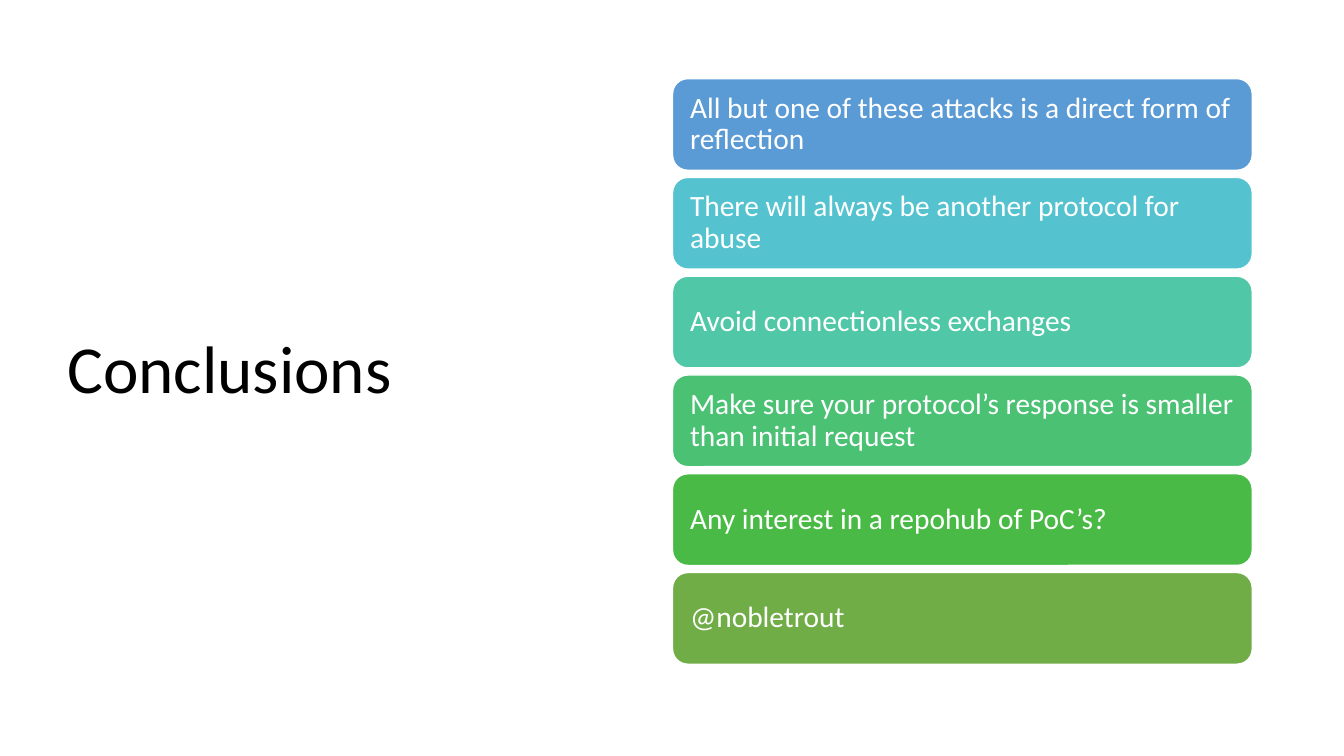
from pptx import Presentation
from pptx.dml.color import RGBColor
from pptx.enum import shapes, text
from pptx.util import Inches, Pt

BLACK = RGBColor(0x00, 0x00, 0x00)
WHITE = RGBColor(0xFF, 0xFF, 0xFF)
BLUE = RGBColor(0x5B, 0x9B, 0xD5)
CYAN = RGBColor(0x55, 0xC3, 0xCF)
TEAL = RGBColor(0x50, 0xC8, 0xA7)
MINT = RGBColor(0x4B, 0xC1, 0x74)
GREEN = RGBColor(0x4A, 0xBA, 0x46)
OLIVE = RGBColor(0x70, 0xAD, 0x47)

CONCLUSIONS = [
    ("All but one of these attacks is a direct form of reflection", BLUE),
    ("There will always be another protocol for abuse", CYAN),
    ("Avoid connectionless exchanges", TEAL),
    ("Make sure your protocol’s response is smaller than initial request", MINT),
    ("Any interest in a repohub of PoC’s?", GREEN),
    ("@nobletrout", OLIVE),
]
CARD_LEFT, CARD_TOP = 6.67, 0.78
CARD_WIDTH, CARD_HEIGHT = 5.75, 0.91
CARD_PITCH = 0.98


def write(frame, wording, *, size, color, font="Calibri", inset=0.1):
    frame.word_wrap = True
    frame.vertical_anchor = text.MSO_ANCHOR.MIDDLE
    frame.margin_left = frame.margin_right = Inches(inset)
    para = frame.paragraphs[0]
    para.alignment = text.PP_ALIGN.LEFT
    para.line_spacing = 0.9
    span = para.add_run()
    span.text = wording
    span.font.name = font
    span.font.size = Pt(size)
    span.font.color.rgb = color


class ConclusionPage:
    title_size = 48
    card_size = 21

    def __init__(self, deck):
        self.page = deck.slides.add_slide(deck.slide_layouts[6])

    def title(self, wording, left, top, width, height):
        box = self.page.shapes.add_textbox(
            Inches(left), Inches(top), Inches(width), Inches(height))
        write(box.text_frame, wording, size=self.title_size, color=BLACK)

    def card(self, wording, fill, left, top, width, height):
        card = self.page.shapes.add_shape(
            shapes.MSO_SHAPE.ROUNDED_RECTANGLE,
            Inches(left), Inches(top), Inches(width), Inches(height))
        card.shadow.inherit = False
        card.fill.solid()
        card.fill.fore_color.rgb = fill
        card.line.color.rgb = WHITE
        card.line.width = Pt(1)
        write(card.text_frame, wording, size=self.card_size, color=WHITE, inset=0.13)


def main():
    deck = Presentation()
    deck.slide_width, deck.slide_height = Inches(13.33), Inches(7.5)
    page = ConclusionPage(deck)
    page.title("Conclusions", 0.57, 0.68, 5.67, 6.02)
    for index, (wording, fill) in enumerate(CONCLUSIONS):
        page.card(wording, fill, CARD_LEFT, CARD_TOP + index * CARD_PITCH,
                  CARD_WIDTH, CARD_HEIGHT)
    deck.save("out.pptx")


if __name__ == "__main__":
    main()
